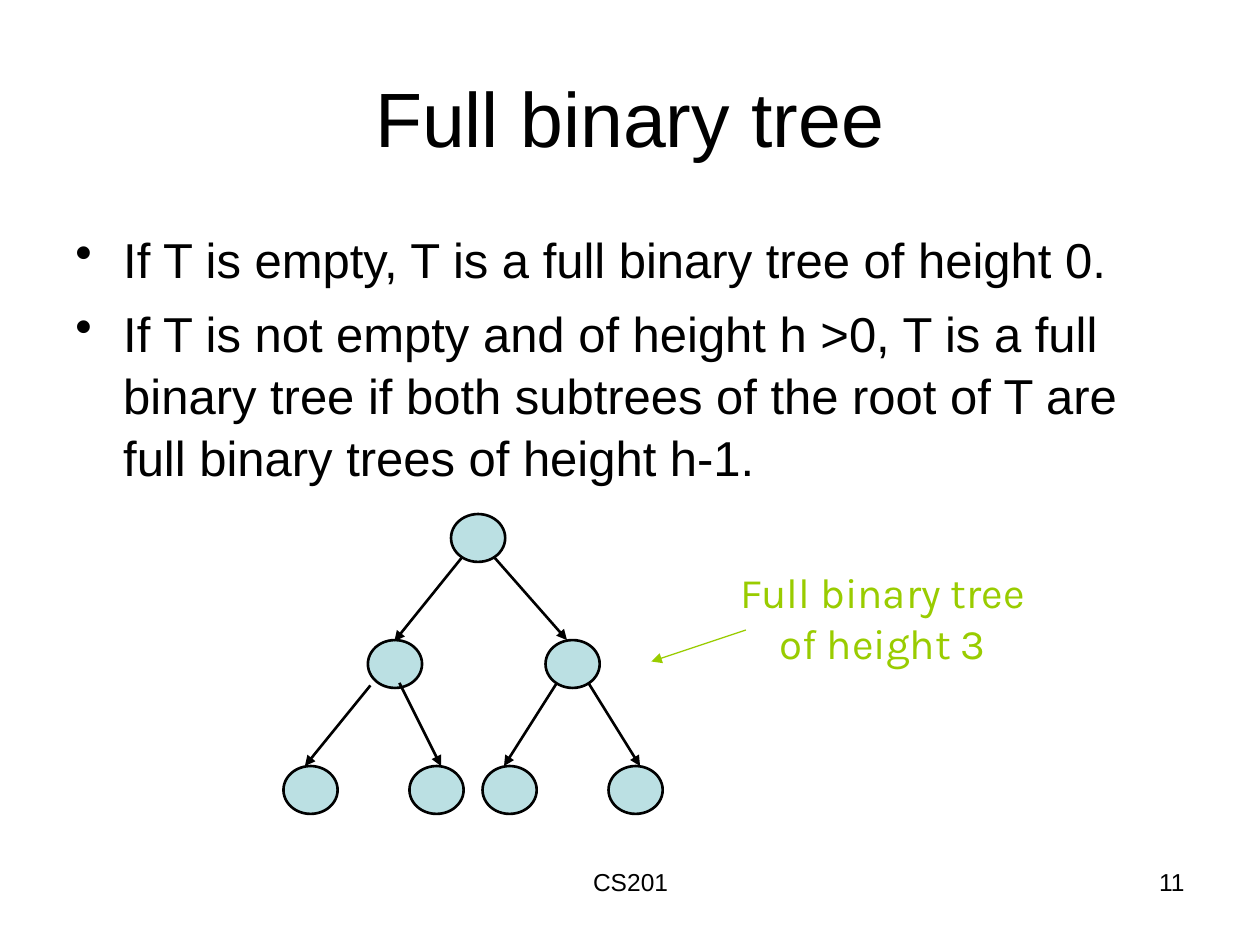
import pptx
import pptx.dml.color
import pptx.enum.shapes
import pptx.enum.text
import pptx.oxml
import pptx.oxml.ns
import pptx.util

WIDTH, HEIGHT = 10, 7.5
COLOURS = {"text": "000000", "node": "BBE0E3", "note": "99CC00"}
ALIGN = pptx.enum.text.PP_ALIGN
ANCHOR = pptx.enum.text.MSO_ANCHOR

# Tree grid: node size, level tops and the left edges of each level's nodes
NODE_W, NODE_H = 0.43, 0.38
LEVEL_TOP, LEVEL_STEP = 4.08, 1
LEVELS = [[3.58], [2.92, 4.33], [2.25, 3.25, 3.83, 4.83]]
# Edges of each level: start x, start y, end x, end y
EDGES = [
    (3.67, 4.42, 3.13, 5.09), (3.92, 4.42, 4.5, 5.08),
    (2.94, 5.44, 2.42, 6.08), (3.17, 5.42, 3.5, 6.08),
    (4.42, 5.42, 4, 6.08), (4.67, 5.42, 5.08, 6.08),
]


def rgb(name):
    return pptx.dml.color.RGBColor.from_string(COLOURS[name])


def inches(*lengths):
    return [pptx.util.Inches(length) for length in lengths]


def add_bullet(paragraph, indent):
    properties = paragraph._p.get_or_add_pPr()
    properties.set("marL", str(pptx.util.Inches(indent)))
    properties.set("indent", str(-pptx.util.Inches(indent)))
    bullet = pptx.oxml.ns.qn("a:buChar")
    properties.append(properties.makeelement(bullet, {"char": "•"}))


def write_text(shape, lines, size, font="Arial", colour="text", align=ALIGN.LEFT,
               anchor=ANCHOR.TOP, wrap=True, bullet_indent=None, gap=0, spacing=None):
    frame = shape.text_frame
    frame.word_wrap = wrap
    frame.vertical_anchor = anchor
    for index, line in enumerate(lines):
        paragraph = frame.add_paragraph() if index else frame.paragraphs[0]
        paragraph.text = line
        paragraph.alignment = align
        paragraph.space_before = pptx.util.Pt(gap if index else 0)
        if spacing:
            paragraph.line_spacing = spacing
        if bullet_indent:
            add_bullet(paragraph, bullet_indent)
        paragraph.font.size = pptx.util.Pt(size)
        paragraph.font.name = font
        paragraph.font.color.rgb = rgb(colour)


def add_text(slide, box, lines, **text_format):
    write_text(slide.shapes.add_textbox(*inches(*box)), lines, **text_format)


def add_title(slide, box, title):
    heading = slide.shapes.title
    heading.left, heading.top, heading.width, heading.height = inches(*box)
    write_text(heading, [title], size=44, align=ALIGN.CENTER, anchor=ANCHOR.MIDDLE)


def add_node(slide, left, top):
    node = slide.shapes.add_shape(pptx.enum.shapes.MSO_SHAPE.OVAL,
                                  *inches(left, top, NODE_W, NODE_H))
    node.shadow.inherit = False
    node.fill.solid()
    node.fill.fore_color.rgb = rgb("node")
    node.line.color.rgb = rgb("text")
    node.line.width = pptx.util.Pt(1.5)


def add_arrow(slide, ends, colour="text", weight=1.5):
    arrow = slide.shapes.add_connector(pptx.enum.shapes.MSO_CONNECTOR.STRAIGHT,
                                       *inches(*ends))
    arrow.line.color.rgb = rgb(colour)
    arrow.line.width = pptx.util.Pt(weight)
    qn = pptx.oxml.ns.qn
    line = arrow.line._get_or_add_ln()
    line.append(line.makeelement(qn("a:tailEnd"), {"type": "triangle"}))
    properties = arrow._element.spPr
    properties.append(properties.makeelement(qn("a:effectLst"), {}))


def add_tree(slide):
    for depth, lefts in enumerate(LEVELS):
        for left in lefts:
            add_node(slide, left, LEVEL_TOP + depth * LEVEL_STEP)
    for ends in EDGES:
        add_arrow(slide, ends)


def main():
    deck = pptx.Presentation()
    deck.slide_width, deck.slide_height = inches(WIDTH, HEIGHT)
    slide = deck.slides.add_slide(deck.slide_layouts.get_by_name("Title Only"))
    margin = 0.05 * WIDTH
    content_width = WIDTH - 2 * margin

    # Title and definition
    add_title(slide, (margin, 0.04 * HEIGHT, content_width, 1.25), "Full binary tree")
    add_text(slide, (margin, 1.75, content_width, 2.89), [
        "If T is empty, T is a full binary tree of height 0.",
        "If T is not empty and of height h >0, T is a full binary tree if both "
        "subtrees of the root of T are full binary trees of height h-1.",
    ], size=28, bullet_indent=0.38, gap=7, spacing=1.05)

    # Example tree with its note
    add_tree(slide)
    add_text(slide, (5.73, 4.45, 2.55, 0.9), ["Full binary tree", "of height 3"],
             size=24, font="Karla", colour="note", align=ALIGN.CENTER, wrap=False)
    add_arrow(slide, (5.92, 5, 5.17, 5.25), colour="note", weight=0.75)

    # Footer: course and slide number
    footer_top, footer_height = 6.83, 0.52
    add_text(slide, (3.42, footer_top, 3.17, footer_height), ["CS201"],
             size=14, align=ALIGN.CENTER)
    add_text(slide, (7.17, footer_top, 2.33, footer_height), ["11"],
             size=14, align=ALIGN.RIGHT)

    deck.save("out.pptx")


if __name__ == "__main__":
    main()
